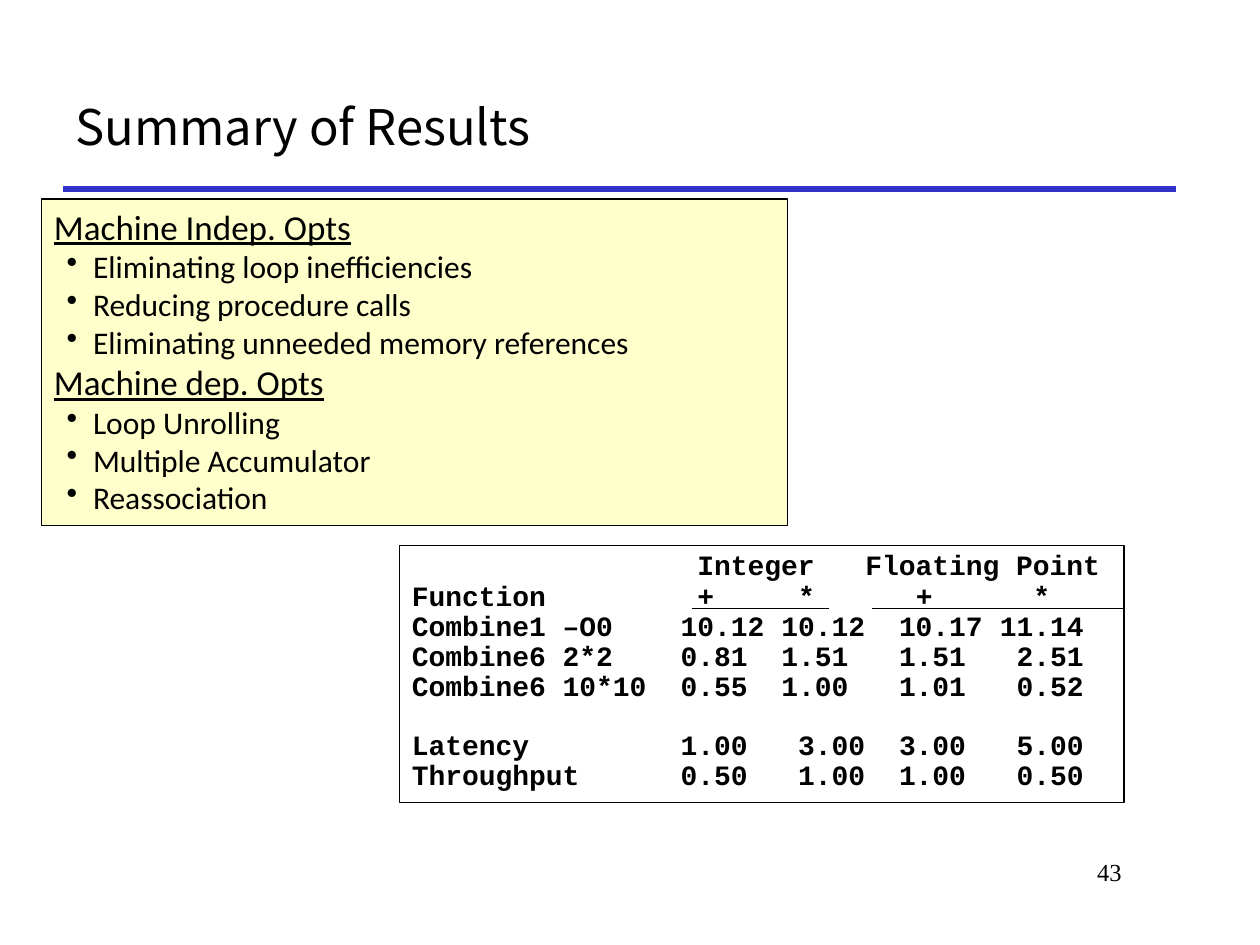
"""Build the slide that summarises optimization results."""
from lxml import etree
from pptx import Presentation
from pptx import util as u
from pptx.dml.color import RGBColor
from pptx.enum import shapes, text
from pptx.oxml.ns import qn

COLORS = {"ink": "000000", "rule": "3333CC", "note": "FFFFCC", "paper": "FFFFFF"}
TITLE = "Summary of Results"
PAGE = "43"
OPTIMIZATIONS = {
    "Machine Indep. Opts": ["Eliminating loop inefficiencies", "Reducing procedure calls",
                            "Eliminating unneeded memory references"],
    "Machine dep. Opts": ["Loop Unrolling", "Multiple Accumulator", "Reassociation"],
}
RESULTS = [
    (["", "Integer", "Floating Point"], [17, 27]),
    (["Function", "+", "*", "+", "*"], [17, 23, 30, 37]),
    (["Combine1 –O0", "10.12", "10.12", "10.17", "11.14"], [16, 22, 29, 35]),
    (["Combine6 2*2", "0.81", "1.51", "1.51", "2.51"], [16, 22, 29, 36]),
    (["Combine6 10*10", "0.55", "1.00", "1.01", "0.52"], [16, 22, 29, 36]),
    (["Latency", "1.00", "3.00", "3.00", "5.00"], [16, 23, 29, 36]),
    (["Throughput", "0.50", "1.00", "1.00", "0.50"], [16, 23, 29, 36]),
]
CHAR_PT = 9.6
GAP_BEFORE = {"Latency": 16.3}


def rgb(name):
    return RGBColor.from_string(COLORS[name])


def style(p, font, size, bold=False, underline=False):
    for r in p.runs:
        f = r.font
        f.name, f.size, f.bold, f.underline = font, u.Pt(size), bold, underline
        f.color.rgb = rgb("ink")


def add_label(s, box, words, font, size, align, anchor):
    tf = s.shapes.add_textbox(*map(u.Inches, box)).text_frame
    tf.word_wrap, tf.vertical_anchor = True, anchor
    tf.text = words
    tf.paragraphs[0].alignment = align
    style(tf.paragraphs[0], font, size)


def add_panel(s, box, fill):
    sp = s.shapes.add_shape(shapes.MSO_SHAPE.RECTANGLE, *map(u.Inches, box))
    sp.shadow.inherit = False
    sp.fill.solid()
    sp.fill.fore_color.rgb = rgb(fill)
    sp.line.color.rgb = rgb("ink")
    sp.line.width = u.Pt(0.75)
    tf = sp.text_frame
    tf.word_wrap, tf.vertical_anchor = True, text.MSO_ANCHOR.TOP
    return tf


def add_lines(tf, lines):
    tf.text = "\n".join(lines)
    for p in tf.paragraphs:
        p.alignment = text.PP_ALIGN.LEFT
    return tf.paragraphs


def add_rule(s, x1, x2, y, color, width):
    ln = s.shapes.add_connector(shapes.MSO_CONNECTOR.STRAIGHT,
                                *map(u.Inches, (x1, y, x2, y)))
    ln.line.color.rgb = rgb(color)
    ln.line.width = u.Pt(width)
    etree.SubElement(ln._element.spPr, qn("a:effectLst"))


def add_bullet(p):
    pPr = p._p.get_or_add_pPr()
    pPr.set("marL", str(u.Inches(0.31)))
    pPr.set("indent", str(u.Inches(-0.21)))
    etree.SubElement(pPr, qn("a:buChar"), char="•")


def add_tabs(p, columns):
    tabs = etree.SubElement(p._p.get_or_add_pPr(), qn("a:tabLst"))
    for col in columns:
        etree.SubElement(tabs, qn("a:tab"), pos=str(u.Pt(col * CHAR_PT)), algn="l")


def main():
    prs = Presentation()
    prs.slide_width, prs.slide_height = u.Inches(10), u.Inches(7.5)
    s = prs.slides.add_slide(prs.slide_layouts[6])

    add_rule(s, 0.5, 9.33, 1.5, "rule", 3)
    add_label(s, (7.58, 6.75, 1.42, 0.5), PAGE, "Times New Roman", 14,
              text.PP_ALIGN.RIGHT, text.MSO_ANCHOR.TOP)
    add_label(s, (0.5, 0.5, 8.83, 1), TITLE, "Noto Sans CJK KR", 28,
              text.PP_ALIGN.LEFT, text.MSO_ANCHOR.MIDDLE)

    tf = add_panel(s, (0.33, 1.58, 5.92, 2.59), "note")
    lines = [line for head, items in OPTIMIZATIONS.items() for line in [head, *items]]
    for p, line in zip(add_lines(tf, lines), lines):
        is_head = line in OPTIMIZATIONS
        style(p, "Calibri", 20 if is_head else 18, underline=is_head)
        if not is_head:
            add_bullet(p)

    tf = add_panel(s, (3.17, 4.33, 5.75, 2.04), "paper")
    rows = ["\t".join(cells) for cells, _ in RESULTS]
    for p, (cells, columns) in zip(add_lines(tf, rows), RESULTS):
        p.line_spacing = 0.9
        p.space_before = u.Pt(GAP_BEFORE.get(cells[0], 0))
        add_tabs(p, columns)
        style(p, "Courier New", 16, bold=True)
    for x1, x2 in [(5.49, 6.58), (6.92, 8.92)]:
        add_rule(s, x1, x2, 4.83, "ink", 0.25)

    prs.save("out.pptx")


if __name__ == "__main__":
    main()
